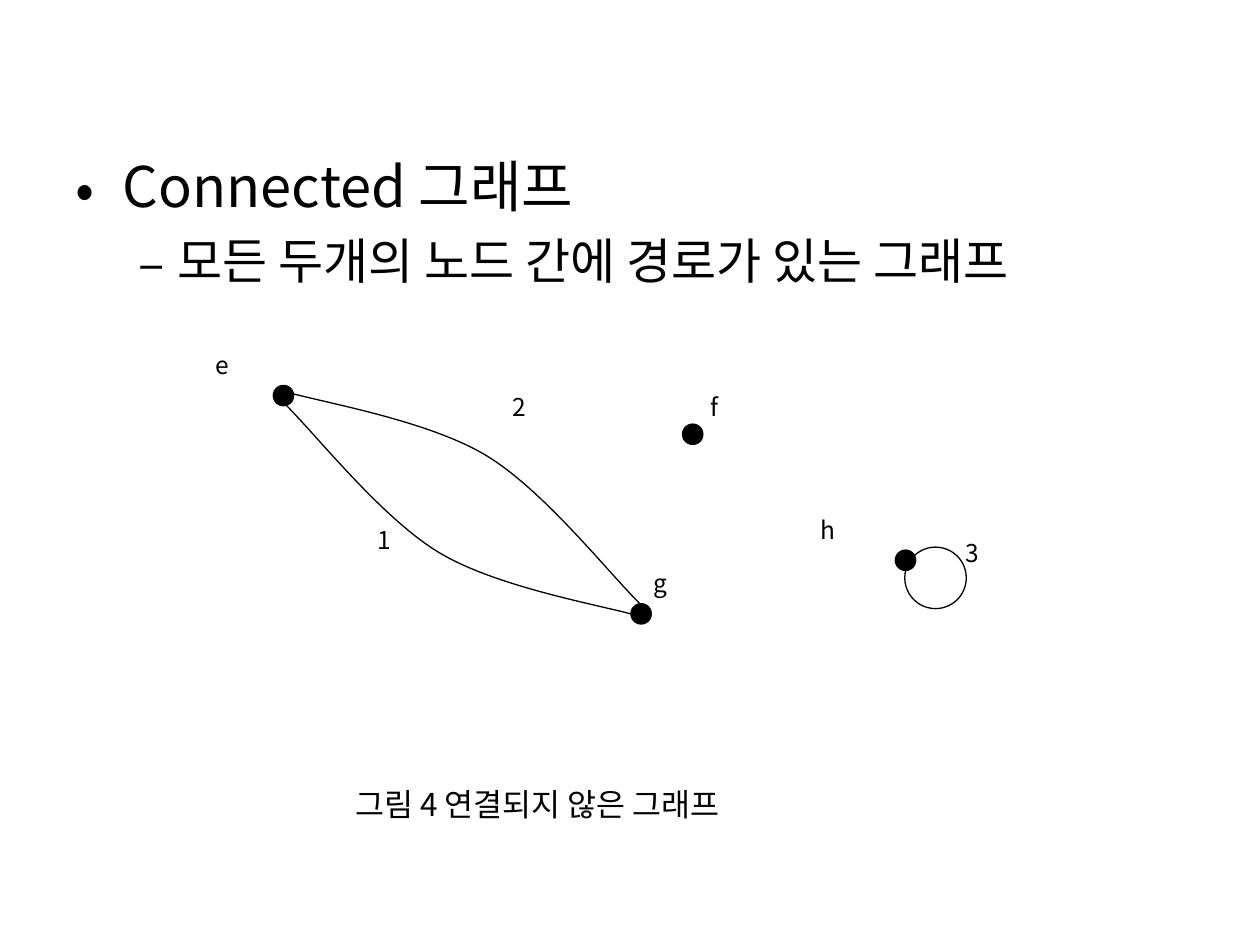
import pptx
import pptx.util
import pptx.dml.color
import pptx.enum.shapes
import pptx.enum.text
import pptx.oxml
import pptx.oxml.ns
from pptx.util import Cm
from lxml import etree

THEME = {
    "ink": pptx.dml.color.RGBColor(0, 0, 0),
    "font": "Noto Sans CJK KR",
    "heading": 32, "point": 28, "caption": 18, "label": 14,
    "line": pptx.util.Pt(0.75),
}
OVAL = pptx.enum.shapes.MSO_SHAPE.OVAL
qn = pptx.oxml.ns.qn

prs = pptx.Presentation()
prs.slide_width, prs.slide_height = Cm(25.4), Cm(19.05)
s = prs.slides.add_slide(prs.slide_layouts[6])


def write(tf, text, size, bullet=None, margin=0, hang=0, before=None):
    p = tf.paragraphs[0] if before is None else tf.add_paragraph()
    if before is not None:
        p.space_before = pptx.util.Pt(before)
    if bullet:
        pPr = p._p.get_or_add_pPr()
        pPr.set("marL", str(Cm(margin)))
        pPr.set("indent", str(-Cm(hang)))
        etree.SubElement(pPr, qn("a:buFont")).set("typeface", THEME["font"])
        etree.SubElement(pPr, qn("a:buChar")).set("char", bullet)
    r = p.add_run()
    r.text = text
    r.font.size = pptx.util.Pt(size)
    r.font.name = THEME["font"]
    r.font.color.rgb = THEME["ink"]


def outline(sp, filled=False):
    sp.shadow.inherit = False
    if filled:
        sp.fill.solid()
        sp.fill.fore_color.rgb = THEME["ink"]
    else:
        sp.fill.background()
    sp.line.color.rgb = THEME["ink"]
    sp.line.width = THEME["line"]


# Definition
tf = s.shapes.add_textbox(Cm(1.27), Cm(2.92), Cm(22.86), Cm(12.57)).text_frame
tf.word_wrap = True
write(tf, "Connected 그래프", THEME["heading"], bullet="•", margin=0.96, hang=0.96)
write(tf, "모든 두개의 노드 간에 경로가 있는 그래프", THEME["point"],
      bullet="–", margin=2.06, hang=0.79, before=7)

# Edges between e and g: the lower one is the upper one turned by 180 degrees
upper = [(5.77, 7.9), (6.43, 8.1), (8.59, 8.46), (9.78, 9.17),
         (10.97, 9.88), (12.29, 11.58), (12.95, 12.22)]
lower = [(18.65 - x, 20.32 - y) for x, y in upper]
for edge in (upper, lower):
    pts = [(Cm(x), Cm(y)) for x, y in edge]
    fb = s.shapes.build_freeform(*pts[0])
    fb.add_line_segments(pts[1:], close=False)
    sp = fb.convert_to_shape()
    outline(sp)
    # Every three straight segments become one Bézier curve
    segments = list(sp._element.iter(qn("a:lnTo")))
    for i in range(0, len(segments), 3):
        curve = etree.Element(qn("a:cubicBezTo"))
        segments[i].addprevious(curve)
        for segment in segments[i:i + 3]:
            curve.append(segment[0])
            segment.getparent().remove(segment)

# Loop at h
outline(s.shapes.add_shape(OVAL, Cm(18.24), Cm(11.03), Cm(1.24), Cm(1.24)))

# Nodes e, g, f, h
for x, y in [(5.51, 7.77), (12.72, 12.17), (13.76, 8.55), (18.05, 11.09)]:
    outline(s.shapes.add_shape(OVAL, Cm(x), Cm(y), Cm(0.41), Cm(0.41)), filled=True)

# Node and edge labels
labels = [("1", 7.37, 10.46), ("2", 10.08, 7.77), ("3", 19.21, 10.73),
          ("e", 4.09, 6.93), ("g", 12.93, 11.33), ("f", 14.07, 7.77),
          ("h", 16.3, 10.26)]
for text, x, y in labels:
    tf = s.shapes.add_textbox(Cm(x), Cm(y), Cm(1.37), Cm(0.86)).text_frame
    tf.word_wrap = True
    write(tf, text, THEME["label"])

# Caption
tf = s.shapes.add_textbox(Cm(6.91), Cm(15.7), Cm(8.28), Cm(1.02)).text_frame
tf.word_wrap = False
write(tf, "그림 4 연결되지 않은 그래프", THEME["caption"])

prs.save("out.pptx")
